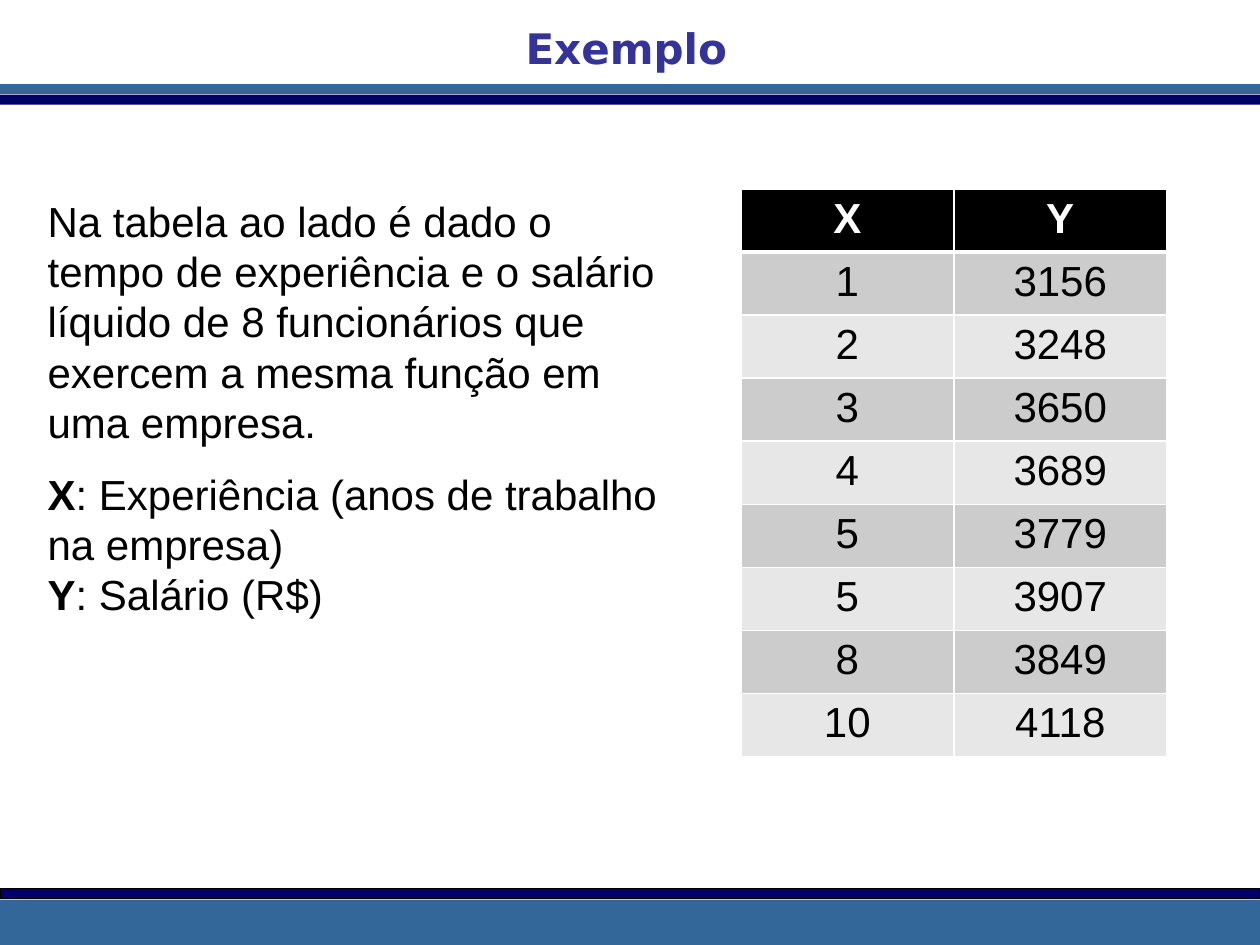
import pptx
import pptx.util
import pptx.dml.color
import pptx.enum.shapes
import pptx.enum.text
import pptx.oxml.ns
import lxml.etree

Inches, Pt = pptx.util.Inches, pptx.util.Pt
RGBColor = pptx.dml.color.RGBColor
CENTER = pptx.enum.text.PP_ALIGN.CENTER

BLACK = RGBColor(0x00, 0x00, 0x00)
WHITE = RGBColor(0xFF, 0xFF, 0xFF)
STEEL = RGBColor(0x33, 0x66, 0x99)
NAVY = RGBColor(0x00, 0x00, 0x66)
INDIGO = RGBColor(0x33, 0x33, 0x99)
DARK_ROW = RGBColor(0xCC, 0xCC, 0xCC)
LIGHT_ROW = RGBColor(0xE7, 0xE7, 0xE7)


def add_run(p, text, color=BLACK, bold=False, name="Arial"):
    """Append a 24 pt run to a paragraph."""
    r = p.add_run()
    r.text = text
    for key, value in {"size": Pt(24), "bold": bold, "name": name}.items():
        setattr(r.font, key, value)
    r.font.color.rgb = color


def set_border(cell, side, width):
    """Draw a white line of the given points on one side of a cell."""
    qn = pptx.oxml.ns.qn
    ln = lxml.etree.SubElement(cell._tc.get_or_add_tcPr(), qn("a:ln" + side),
                               w=str(Pt(width)))
    fill = lxml.etree.SubElement(ln, qn("a:solidFill"))
    lxml.etree.SubElement(fill, qn("a:srgbClr"), val=str(WHITE))


prs = pptx.Presentation()
prs.slide_width, prs.slide_height = Inches(10), Inches(7.5)
s = prs.slides.add_slide(prs.slide_layouts[6])

# Header and footer bands: top, width, height, fill, line
bands = [
    (0.67, 10, 0.08, STEEL, STEEL),
    (0.75, 10, 0.17, WHITE, WHITE),
    (0.75, 10.03, 0.08, NAVY, None),
    (7.14, 10, 0.36, STEEL, None),
    (7.05, 10, 0.08, NAVY, BLACK),
]
for top, width, height, fill, line in bands:
    sp = s.shapes.add_shape(pptx.enum.shapes.MSO_SHAPE.RECTANGLE, 0,
                            Inches(top), Inches(width), Inches(height))
    sp.shadow.inherit = False
    sp.fill.solid()
    sp.fill.fore_color.rgb = fill
    if line is None:
        sp.line.fill.background()
    else:
        sp.line.color.rgb = line
        sp.line.width = Pt(0.75)

# Title
tf = s.shapes.add_textbox(Inches(4.06), Inches(0.13),
                          Inches(1.82), Inches(0.5)).text_frame
tf.word_wrap = False
tf.auto_size = pptx.enum.text.MSO_AUTO_SIZE.SHAPE_TO_FIT_TEXT
tf.paragraphs[0].alignment = CENTER
add_run(tf.paragraphs[0], "Exemplo", INDIGO, True, "DejaVu Sans")

# Explanation: bold lead, text, space after
paragraphs = [
    ("", "Na tabela ao lado é dado o tempo de experiência e o salário líquido "
         "de 8 funcionários que exercem a mesma função em uma empresa.", 12),
    ("X", ": Experiência (anos de trabalho na empresa)", 0),
    ("Y", ": Salário (R$)", 0),
]
tf = s.shapes.add_textbox(Inches(0.28), Inches(1.5),
                          Inches(5.2), Inches(3.5)).text_frame
tf.word_wrap = True
tf.auto_size = pptx.enum.text.MSO_AUTO_SIZE.SHAPE_TO_FIT_TEXT
for i, (lead, text, space) in enumerate(paragraphs):
    p = tf.add_paragraph() if i else tf.paragraphs[0]
    p.space_after = Pt(space)
    if lead:
        add_run(p, lead, bold=True)
    add_run(p, text)

# Experience and salary table
rows = [("X", "Y"), (1, 3156), (2, 3248), (3, 3650), (4, 3689),
        (5, 3779), (5, 3907), (8, 3849), (10, 4118)]
table = s.shapes.add_table(len(rows), 2, Inches(5.88), Inches(1.5),
                           Inches(3.38), Inches(0.5 * len(rows))).table
for i, values in enumerate(rows):
    header = i == 0
    for j, value in enumerate(values):
        cell = table.cell(i, j)
        for side in "LRTB":
            thick = (side == "B" and i == 0) or (side == "T" and i == 1)
            set_border(cell, side, 3 if thick else 1)
        cell.fill.solid()
        cell.fill.fore_color.rgb = (BLACK if header else
                                    DARK_ROW if i % 2 else LIGHT_ROW)
        p = cell.text_frame.paragraphs[0]
        p.alignment = CENTER
        add_run(p, str(value), WHITE if header else BLACK, header)

prs.save("out.pptx")
